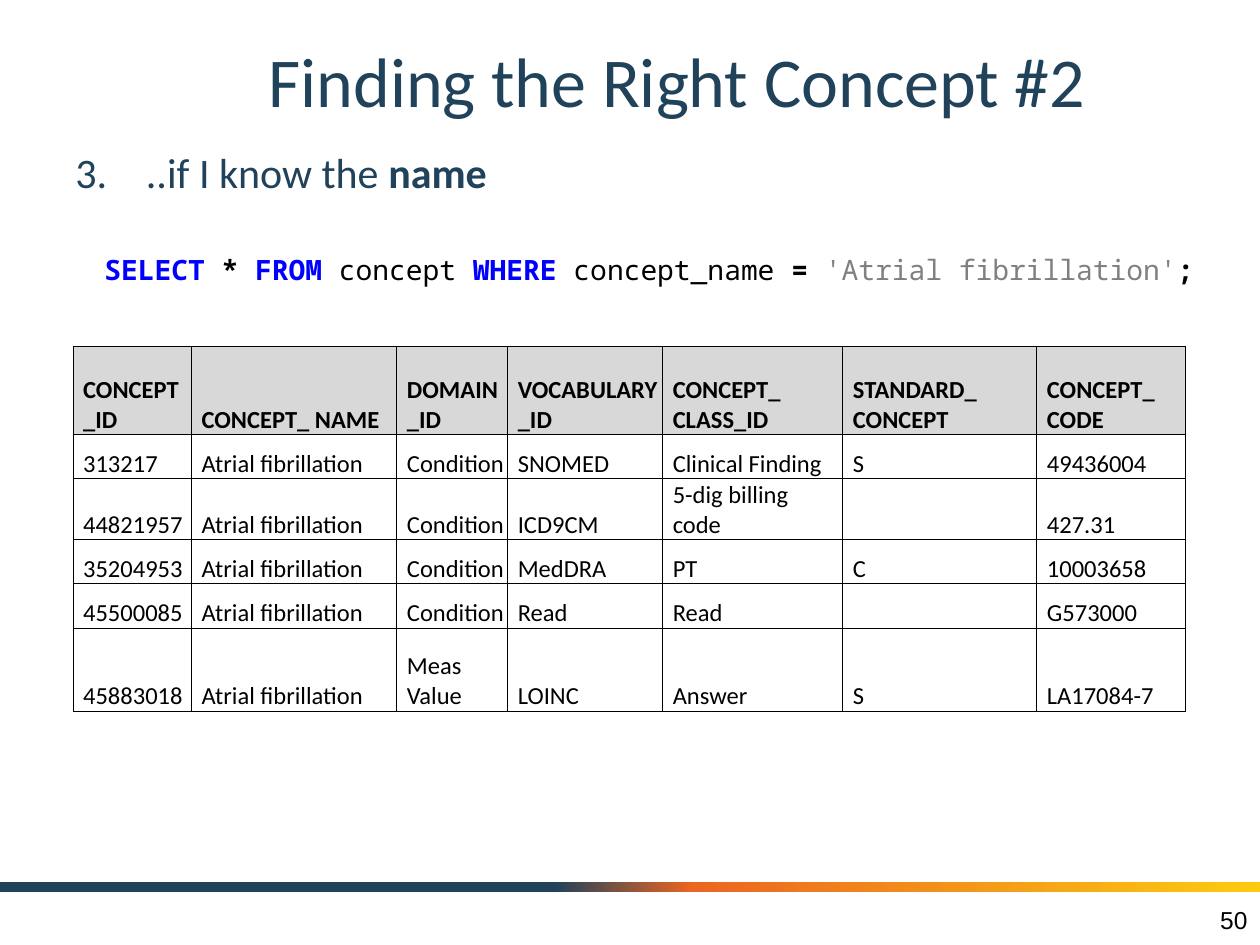
"""Build a slide on finding a vocabulary concept by its name."""
from typing import NamedTuple

import lxml.etree
import pptx
import pptx.dml.color
import pptx.enum.shapes
import pptx.enum.text
import pptx.oxml
import pptx.oxml.ns
import pptx.util

Inches = pptx.util.Inches
Pt = pptx.util.Pt
ANCHOR = pptx.enum.text.MSO_ANCHOR
ALIGN = pptx.enum.text.PP_ALIGN

COLORS = {
    "navy": "20425A",
    "orange": "EB6622",
    "yellow": "FCCB10",
    "black": "000000",
    "keyword": "0000FF",
    "literal": "808080",
    "header": "D8D8D8",
}


class Box(NamedTuple):
    left: float
    top: float
    width: float
    height: float

    def lengths(self) -> list:
        return [Inches(v) for v in self]


class Span(NamedTuple):
    text: str
    color: str = "black"
    bold: bool = False


BAND_STOPS = [(0, "navy"), (44, "navy"), (55, "orange"), (100, "yellow")]
HEADING = [Span("..if I know the ", "navy"), Span("name", "navy", True)]
QUERY = [
    Span("SELECT ", "keyword", True),
    Span("* ", bold=True),
    Span("FROM", "keyword", True),
    Span(" concept "),
    Span("WHERE", "keyword", True),
    Span(" concept_name "),
    Span("= ", bold=True),
    Span("'Atrial fibrillation'", "literal"),
    Span(";", bold=True),
]
COL_WIDTHS = [0.94, 1.63, 0.88, 1.23, 1.43, 1.54, 1.18]
ROW_HEIGHTS = [0.7, 0.35, 0.35, 0.35, 0.35, 0.66]
NAME = "Atrial fibrillation"
ROWS = [
    ["CONCEPT _ID", "CONCEPT_ NAME", "DOMAIN _ID", "VOCABULARY _ID",
     "CONCEPT_ CLASS_ID", "STANDARD_ CONCEPT", "CONCEPT_ CODE"],
    ["313217", NAME, "Condition", "SNOMED", "Clinical Finding", "S", "49436004"],
    ["44821957", NAME, "Condition", "ICD9CM", "5-dig billing code", "", "427.31"],
    ["35204953", NAME, "Condition", "MedDRA", "PT", "C", "10003658"],
    ["45500085", NAME, "Condition", "Read", "Read", "", "G573000"],
    ["45883018", NAME, "Meas Value", "LOINC", "Answer", "S", "LA17084-7"],
]


def rgb(name: str) -> pptx.dml.color.RGBColor:
    return pptx.dml.color.RGBColor.from_string(COLORS[name])


def add_xml(parent, xml: str) -> None:
    ns = pptx.oxml.ns.nsdecls("a")
    tag, rest = xml[:xml.index(" ")], xml[xml.index(" "):]
    parent.append(pptx.oxml.parse_xml(f"{tag} {ns}{rest}"))


def set_font(font, name: str, size: float, color: str | None = None) -> None:
    font.name = name
    font.size = Pt(size)
    if color:
        font.color.rgb = rgb(color)


def set_frame(tf, anchor, margins: tuple) -> None:
    tf.word_wrap = True
    tf.auto_size = pptx.enum.text.MSO_AUTO_SIZE.NONE
    tf.vertical_anchor = anchor
    (tf.margin_left, tf.margin_top,
     tf.margin_right, tf.margin_bottom) = [Inches(m) for m in margins]


def add_spans(p, spans: list[Span]) -> None:
    for span in spans:
        r = p.add_run()
        r.text = span.text
        r.font.bold = span.bold
        r.font.color.rgb = rgb(span.color)


def set_indent(p, margin: float, hanging: float) -> None:
    pPr = p._p.get_or_add_pPr()
    pPr.set("marL", str(Inches(margin)))
    pPr.set("indent", str(-Inches(hanging)))


def add_band(s, box: Box) -> None:
    sp = s.shapes.add_shape(pptx.enum.shapes.MSO_SHAPE.RECTANGLE, *box.lengths())
    sp.shadow.inherit = False
    sp.line.fill.background()
    sp.fill.gradient()
    sp.fill.gradient_angle = 0
    stops = sp._element.spPr.find(".//" + pptx.oxml.ns.qn("a:gsLst"))
    for stop in list(stops):
        stops.remove(stop)
    for pos, color in BAND_STOPS:
        add_xml(stops, f'<a:gs pos="{pos * 1000}">'
                       f'<a:srgbClr val="{COLORS[color]}"/></a:gs>')


def add_title(s, text: str, box: Box) -> None:
    sp = s.shapes.title
    sp.left, sp.top, sp.width, sp.height = box.lengths()
    set_frame(sp.text_frame, ANCHOR.MIDDLE, (0.1,) * 4)
    p = sp.text_frame.paragraphs[0]
    p.alignment = ALIGN.CENTER
    p.add_run().text = text
    set_font(p.font, "Calibri", 40, "navy")


def add_body(s, box: Box) -> None:
    tf = s.shapes.add_textbox(*box.lengths()).text_frame
    set_frame(tf, ANCHOR.TOP, (0.1,) * 4)
    p = tf.paragraphs[0]
    set_indent(p, 0.56, 0.56)
    pPr = p._p.get_or_add_pPr()
    add_xml(pPr, f'<a:buClr ><a:srgbClr val="{COLORS["navy"]}"/></a:buClr>')
    add_xml(pPr, '<a:buFont typeface="Calibri"/>')
    add_xml(pPr, '<a:buAutoNum type="arabicPeriod" startAt="3"/>')
    set_font(p.font, "Calibri", 24)
    add_spans(p, HEADING)

    p = tf.add_paragraph()
    set_indent(p, 0.38, 0.15)
    p.space_before = Pt(32)
    set_font(p.font, "Noto Sans Mono", 16)
    add_spans(p, QUERY)


def style_cell(cell, text: str, header: bool) -> None:
    cell.vertical_anchor = ANCHOR.BOTTOM
    cell.margin_left = Inches(0.08)
    cell.margin_top = cell.margin_right = Inches(0.01)
    cell.margin_bottom = 0
    p = cell.text_frame.paragraphs[0]
    if text:
        p.add_run().text = text
    set_font(p.font, "Calibri", 14, "black")
    p.font.bold = header
    tcPr = cell._tc.get_or_add_tcPr()
    for side in ("lnL", "lnR", "lnT", "lnB"):
        add_xml(tcPr, f'<a:{side} w="{Pt(0.5)}"><a:solidFill>'
                      f'<a:srgbClr val="{COLORS["black"]}"/></a:solidFill></a:{side}>')
    if header:
        cell.fill.solid()
        cell.fill.fore_color.rgb = rgb("header")
    else:
        cell.fill.background()


def add_concepts(s, left: float, top: float) -> None:
    box = Box(left, top, sum(COL_WIDTHS), sum(ROW_HEIGHTS))
    table = s.shapes.add_table(len(ROWS), len(COL_WIDTHS), *box.lengths()).table
    table.first_row = table.horz_banding = False
    for column, width in zip(table.columns, COL_WIDTHS):
        column.width = Inches(width)
    for i, (height, values) in enumerate(zip(ROW_HEIGHTS, ROWS)):
        table.rows[i].height = Inches(height)
        for j, text in enumerate(values):
            style_cell(table.cell(i, j), text, header=i == 0)


def add_page_number(s, text: str, box: Box) -> None:
    tf = s.shapes.add_textbox(*box.lengths()).text_frame
    set_frame(tf, ANCHOR.MIDDLE, (0.1, 0.05, 0.1, 0.05))
    p = tf.paragraphs[0]
    p.alignment = ALIGN.RIGHT
    p.add_run().text = text
    set_font(p.font, "Arial", 14, "black")


def main() -> None:
    prs = pptx.Presentation()
    prs.slide_width, prs.slide_height = Inches(10), Inches(7.5)
    s = prs.slides.add_slide(prs.slide_layouts[5])
    add_band(s, Box(0, 7, 10, 0.08))
    add_body(s, Box(0.5, 1.06, 9.33, 1.44))
    add_title(s, "Finding the Right Concept #2", Box(1.25, 0.17, 8.25, 0.92))
    add_concepts(s, 0.58, 2.75)
    add_page_number(s, "50", Box(7.67, 7.1, 2.33, 0.4))
    prs.save("out.pptx")


if __name__ == "__main__":
    main()
